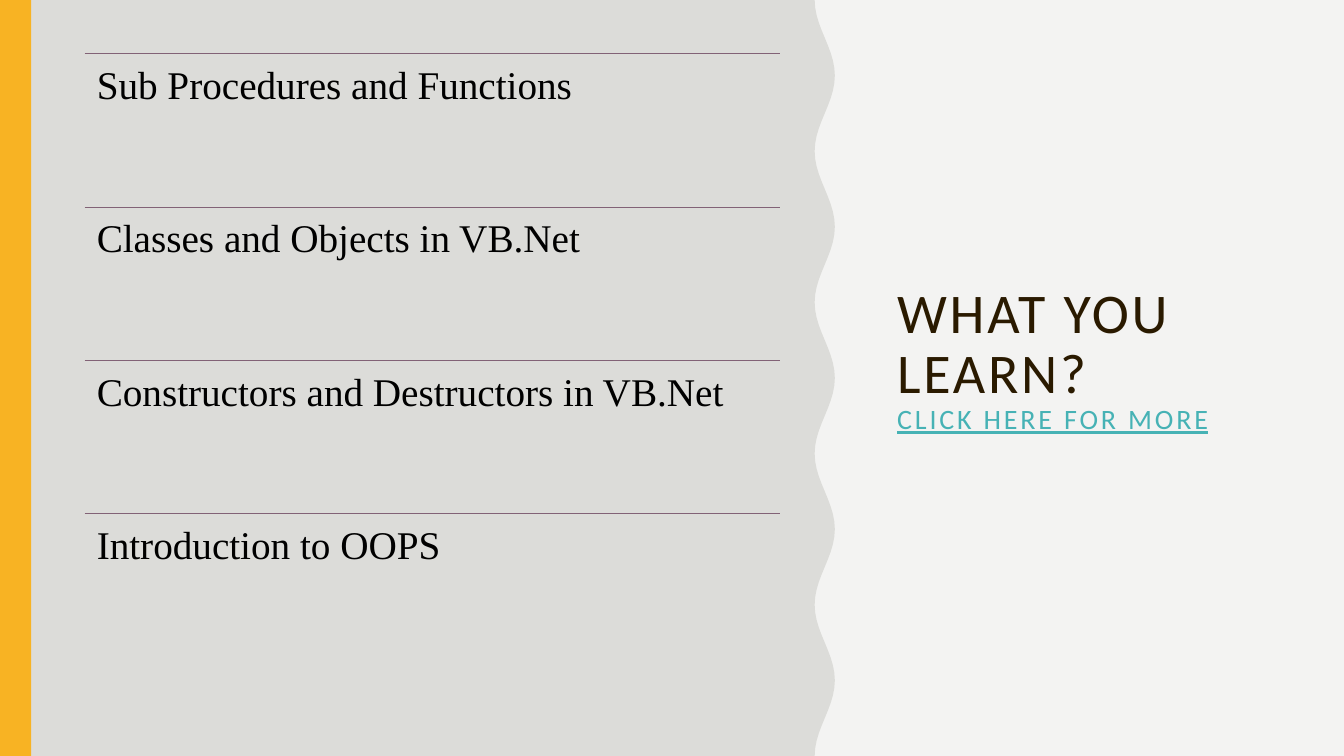
from math import cos, pi

from lxml import etree
from pptx import Presentation
from pptx.dml.color import RGBColor
from pptx.enum.shapes import MSO_CONNECTOR, MSO_SHAPE
from pptx.enum.text import MSO_ANCHOR
from pptx.oxml.ns import qn
from pptx.util import Inches, Pt

RECTANGLE = MSO_SHAPE.RECTANGLE
STRAIGHT = MSO_CONNECTOR.STRAIGHT
TOP, MIDDLE = MSO_ANCHOR.TOP, MSO_ANCHOR.MIDDLE

PAPER = RGBColor(0xF3, 0xF3, 0xF2)
PANEL_GREY = RGBColor(0xDC, 0xDC, 0xD9)
AMBER = RGBColor(0xF8, 0xB3, 0x23)
BROWN = RGBColor(0x2A, 0x1A, 0x00)
TEAL = RGBColor(0x46, 0xB2, 0xB5)
MAUVE = RGBColor(0x82, 0x62, 0x76)
BLACK = RGBColor(0x00, 0x00, 0x00)

SLIDE_WIDTH, SLIDE_HEIGHT = 13.33, 7.5
WAVE_COUNT, WAVE_STEPS, WAVE_DEPTH = 5, 20, 0.2
TOPICS = [
    "Sub Procedures and Functions",
    "Classes and Objects in VB.Net",
    "Constructors and Destructors in VB.Net",
    "Introduction to OOPS",
]


def paint(shape, color):
    shape.shadow.inherit = False
    shape.fill.solid()
    shape.fill.fore_color.rgb = color
    shape.line.fill.background()


def add_text(page, left, top, width, height, text, inset, anchor):
    """Add a wrapping text box with one paragraph and return the paragraph."""
    box = page.shapes.add_textbox(
        Inches(left), Inches(top), Inches(width), Inches(height))
    frame = box.text_frame
    frame.word_wrap = True
    frame.vertical_anchor = anchor
    frame.margin_left = frame.margin_right = Inches(inset)
    frame.margin_top = frame.margin_bottom = Inches(inset)
    para = frame.paragraphs[0]
    para.text = text
    para.line_spacing = 0.9
    return para


def style(span, font_name, size, color):
    span.font.name = font_name
    span.font.size = Pt(size)
    span.font.color.rgb = color


def add_wavy_panel(page, left, top, width, height):
    # Grey panel whose right edge is a cosine wave
    middle = left + width - WAVE_DEPTH / 2
    count = WAVE_COUNT * WAVE_STEPS
    edge = [
        (Inches(middle - WAVE_DEPTH / 2 * cos(2 * pi * step / WAVE_STEPS)),
         Inches(top + height * step / count))
        for step in range(count + 1)
    ]
    builder = page.shapes.build_freeform(Inches(left), Inches(top))
    builder.add_line_segments(
        edge + [(Inches(left), Inches(top + height))], close=True)
    paint(builder.convert_to_shape(), PANEL_GREY)

    # Amber strip along the left edge
    strip = page.shapes.add_shape(
        RECTANGLE, Inches(left), Inches(top), Inches(0.31), Inches(height))
    paint(strip, AMBER)


def add_topics(page, left, top, width, height):
    row_height = height / len(TOPICS)
    for index, topic in enumerate(TOPICS):
        row_top = top + index * row_height
        # Rule above the topic
        rule = page.shapes.add_connector(
            STRAIGHT, Inches(left), Inches(row_top),
            Inches(left + width), Inches(row_top))
        rule.line.color.rgb = MAUVE
        rule.line.width = Pt(0.5)
        etree.SubElement(rule._element.spPr, qn("a:effectLst"))
        # Topic text
        para = add_text(
            page, left, row_top, width, row_height, topic, 0.12, TOP)
        style(para.runs[0], "Times New Roman", 28, BLACK)


def add_title(page, left, top, width, height):
    para = add_text(page, left, top, width, height,
                    "WHAT YOU LEARN?\vCLICK HERE FOR MORE", 0.1, MIDDLE)
    heading, prompt = para.runs
    style(heading, "Calibri", 40, BROWN)
    style(prompt, "Calibri", 20, TEAL)
    prompt.font.underline = True
    # Letter spacing of 2 points
    for span in para.runs:
        span.font._element.set("spc", "200")


deck = Presentation()
deck.slide_width = Inches(SLIDE_WIDTH)
deck.slide_height = Inches(SLIDE_HEIGHT)
page = deck.slides.add_slide(deck.slide_layouts[6])
page.background.fill.solid()
page.background.fill.fore_color.rgb = PAPER

add_wavy_panel(page, 0, 0, 8.28, SLIDE_HEIGHT)
add_title(page, 8.8, 0.53, 4, 6.09)
add_topics(page, 0.84, 0.53, 6.9, 6.09)

deck.save("out.pptx")
